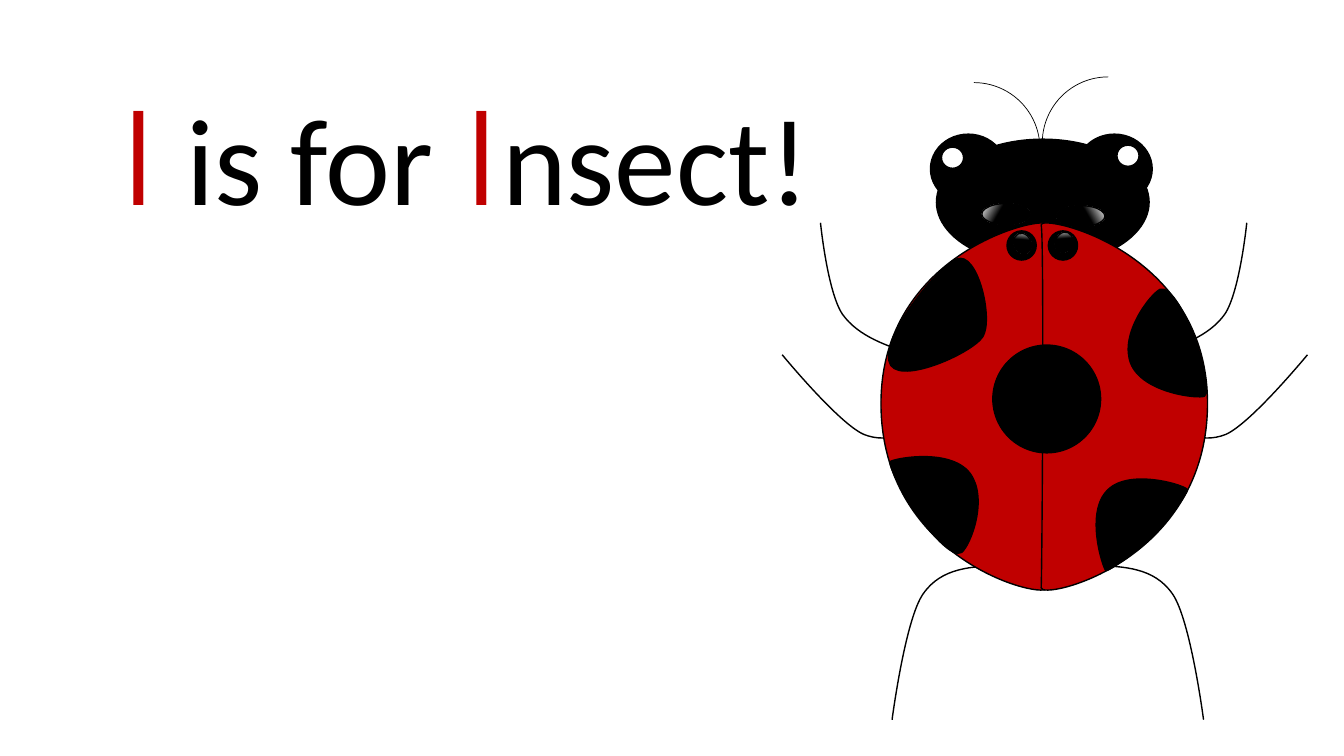
import math

import lxml.etree
import pptx
import pptx.dml.color
import pptx.enum.shapes
import pptx.enum.text
import pptx.oxml.ns
import pptx.util

Pt = pptx.util.Pt
qn = pptx.oxml.ns.qn
SHAPE = pptx.enum.shapes.MSO_SHAPE
BLACK, WHITE, RED = "000000", "FFFFFF", "C00000"

LOWER_LEG = [(715.7, 403.9), (694.1, 404.6), (672.5, 405.4), (659.5, 424.1),
             (646.6, 442.1), (637.2, 514.1), (637.2, 514.1)]
MIDDLE_LEG = [(668.2, 298.8), (651.6, 308.2), (635, 317.5), (617, 310.3),
              (599, 302.4), (558.7, 253.4), (558.7, 253.4)]
UPPER_LEG = [(653, 253.4), (633.6, 247), (613.4, 240.5), (601.9, 224.6),
             (591.1, 208.8), (586.1, 159.1), (586.1, 159.1)]
WING = [(629.3, 290.2), (627.8, 177.8), (749.5, 152.6), (748.1, 160.6),
        (745.9, 168.5), (747.4, 410.4), (748.1, 419.8),
        (748.8, 429.1), (630.7, 402.5), (629.3, 290.2)]
LOWER_RIGHT_SPOT = [(791.3, 349.9), (807.1, 334.1), (848.2, 347), (848.2, 349.9),
                    (848.2, 352.1), (834.5, 372.2), (824.4, 382.3),
                    (815, 391.7), (791.3, 409), (789.8, 407.5),
                    (787.7, 405.4), (774.7, 365.8), (791.3, 349.9)]
LOWER_LEFT_SPOT = [(692.6, 337.7), (706.3, 355.7), (693.4, 389.5), (686.9, 394.6),
                   (680.4, 399.6), (663.1, 378.7), (655.2, 367.9),
                   (646.6, 357.1), (634.3, 331.9), (635.8, 329.8),
                   (637.9, 327.6), (678.2, 319.7), (692.6, 337.7)]
UPPER_RIGHT_SPOT = [(807.8, 259.9), (799.2, 239), (821.5, 210.2), (828.7, 206.6),
                    (836.6, 203.8), (848.2, 227.5), (853.2, 240.5),
                    (858.2, 253.4), (864.7, 280.8), (860.4, 283),
                    (856.1, 285.1), (816.5, 280.8), (807.8, 259.9)]
UPPER_LEFT_SPOT = [(702, 240.5), (694.1, 252.7), (638.6, 277.2), (635, 257.8),
                   (630.7, 238.3), (668.9, 191.5), (683.3, 185),
                   (698.4, 178.6), (709.9, 228.2), (702, 240.5)]


def color(value):
    return pptx.dml.color.RGBColor.from_string(value)


def style(shape, fill=None, weight=1):
    shape.shadow.inherit = False
    shape.line.color.rgb = color(BLACK)
    shape.line.width = Pt(weight)
    if fill:
        shape.fill.solid()
        shape.fill.fore_color.rgb = color(fill)
    else:
        shape.fill.background()


def mirror(points, width):
    return [(width - x, y) for x, y in points]


def turn(x, y, degrees):
    cosine, sine = math.cos(math.radians(degrees)), math.sin(math.radians(degrees))
    return x * cosine - y * sine, x * sine + y * cosine


def bend(shape, points):
    segments = list(shape.element.iter(qn("a:lnTo")))
    for index, segment in enumerate(segments):
        curve = lxml.etree.Element(qn("a:cubicBezTo"))
        for x, y in points[3 * index + 1:3 * index + 4]:
            lxml.etree.SubElement(curve, qn("a:pt"),
                                  x=str(Pt(x) - shape.left), y=str(Pt(y) - shape.top))
        segment.getparent().replace(segment, curve)


def add_curve(insect, points, fill=None, rotation=0):
    points = [turn(x, y, -rotation) for x, y in points]
    anchors = [(Pt(x), Pt(y)) for x, y in points[::3]]
    builder = insect.shapes.build_freeform(*anchors[0])
    builder.add_line_segments(anchors[1:], close=bool(fill))
    shape = builder.convert_to_shape()
    bend(shape, points)
    half_width, half_height = shape.width / 2, shape.height / 2
    x, y = turn(shape.left + half_width, shape.top + half_height, rotation)
    shape.left, shape.top = round(x - half_width), round(y - half_height)
    shape.rotation = rotation
    style(shape, fill)


def add_oval(insect, left, top, width, height, fill=BLACK):
    oval = insect.shapes.add_shape(SHAPE.OVAL, Pt(left), Pt(top), Pt(width), Pt(height))
    style(oval, fill)
    return oval


def add_shine(insect, left, top, width, height, angle, rotation=0):
    shine = add_oval(insect, left, top, width, height)
    shine.rotation = rotation
    shine.fill.gradient()
    shine.fill.gradient_angle = angle
    for stop, position, value in zip(shine.fill.gradient_stops, (0, 0.38), (WHITE, BLACK)):
        stop.position = position
        stop.color.rgb = color(value)


def add_antenna(insect, left, top, rotation):
    antenna = insect.shapes.add_shape(SHAPE.ARC, Pt(left), Pt(top), Pt(94.3), Pt(94.3))
    antenna.rotation = rotation
    style(antenna, weight=0.5)


def add_title(page):
    box = page.shapes.add_textbox(Pt(-5), Pt(47.1), Pt(692.6), Pt(123.8))
    box.text_frame.word_wrap = True
    box.text_frame.auto_size = pptx.enum.text.MSO_AUTO_SIZE.SHAPE_TO_FIT_TEXT
    para = box.text_frame.paragraphs[0]
    para.alignment = pptx.enum.text.PP_ALIGN.CENTER
    initial = ("Montserrat", 96, RED)
    plain = ("Calibri", 88, BLACK)
    for text, (font, size, value) in (("I", initial), (" is for ", plain),
                                      ("I", initial), ("nsect! ", plain)):
        span = para.add_run()
        span.text = text
        span.font.name = font
        span.font.size = Pt(size)
        span.font.color.rgb = color(value)


def add_insect(page):
    insect = page.shapes.add_group_shape()
    for leg, width, rotation in ((LOWER_LEG, 1496.9, 0), (MIDDLE_LEG, 1492.6, 31.7),
                                 (UPPER_LEG, 1476.7, 0)):
        add_curve(insect, leg, rotation=-rotation)
        add_curve(insect, mirror(leg, width), rotation=rotation)
    add_antenna(insect, 744.5, 54.9, 270)
    add_antenna(insect, 648.5, 59, 0)
    add_oval(insect, 668.9, 99.4, 151.9, 90)
    add_curve(insect, WING, RED)
    add_curve(insect, mirror(WING, 1491.8), RED)
    add_oval(insect, 709.2, 246.5, 77, 77)
    for left in (769, 664.6):
        add_oval(insect, left, 95.8, 54, 49.7)
    add_oval(insect, 719.3, 164.9, 20.9, 20.9)
    add_curve(insect, LOWER_RIGHT_SPOT, BLACK, 45.5)
    add_shine(insect, 754.6, 146.9, 34.6, 15.1, 210)
    add_shine(insect, 701.3, 145.4, 34.6, 15.1, 330)
    for left, top in ((797.8, 103.7), (672.5, 105.1)):
        add_oval(insect, left, top, 15.8, 15.1, WHITE)
    add_curve(insect, LOWER_LEFT_SPOT, BLACK, 141.8)
    add_curve(insect, UPPER_RIGHT_SPOT, BLACK, 337.7)
    add_curve(insect, UPPER_LEFT_SPOT, BLACK, 205.6)
    add_oval(insect, 748.8, 164.9, 20.9, 20.9)
    add_shine(insect, 752.4, 167, 15.1, 12.2, 210, 295.3)
    add_shine(insect, 722.9, 167.8, 15.1, 12.2, 330, 64.7)


def main():
    deck = pptx.Presentation()
    deck.slide_width = Pt(960)
    deck.slide_height = Pt(540)
    page = deck.slides.add_slide(deck.slide_layouts[6])
    add_title(page)
    add_insect(page)
    deck.save("out.pptx")


if __name__ == "__main__":
    main()
